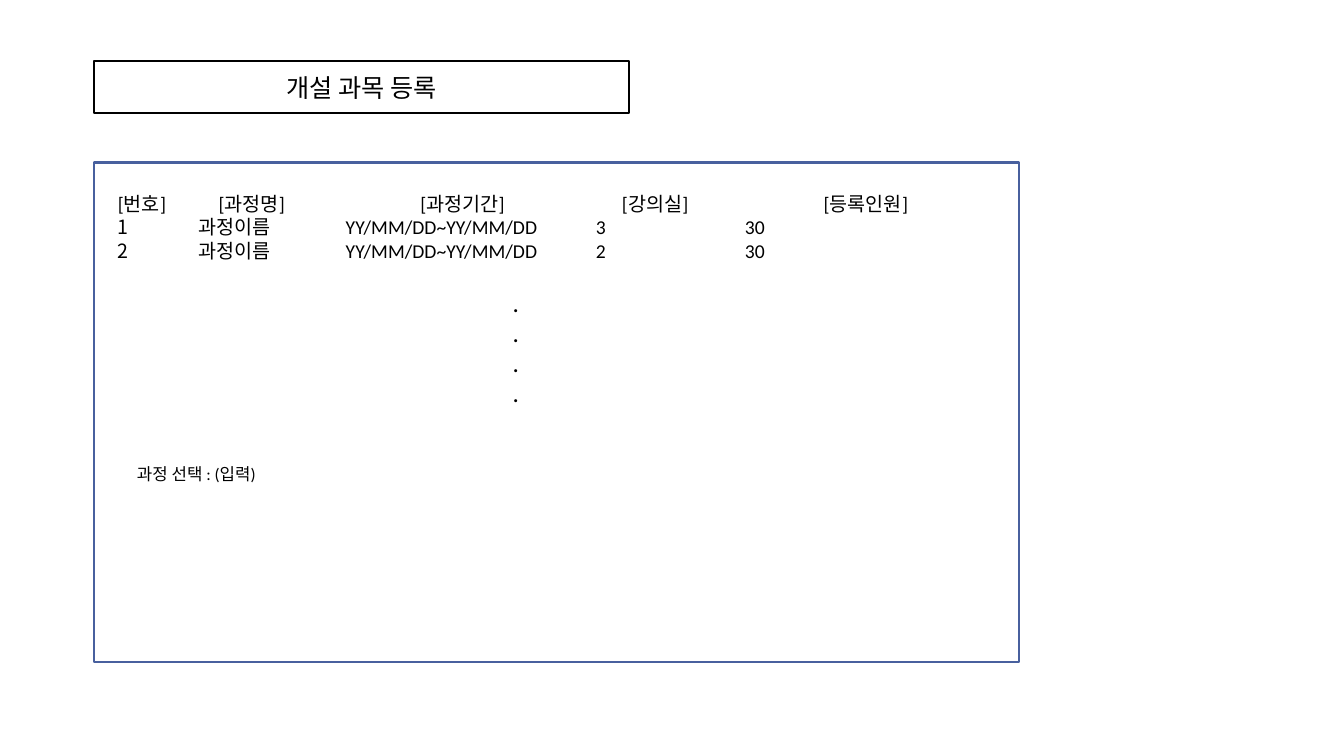
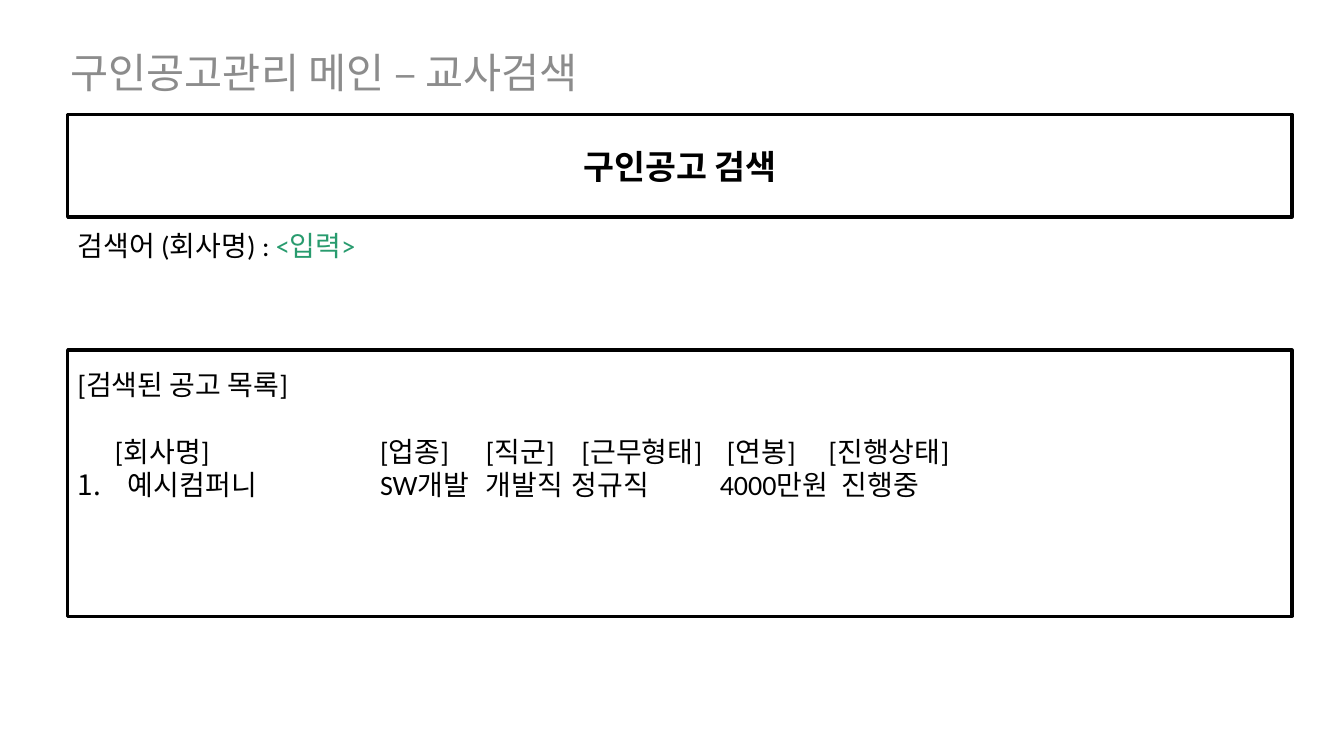
from pptx import Presentation
from pptx.dml.color import RGBColor
from pptx.enum.shapes import MSO_SHAPE as Preset
from pptx.enum.text import MSO_ANCHOR as Anchor, PP_ALIGN as Align
from pptx.oxml.ns import qn
from pptx.util import Inches, Pt
from lxml.etree import SubElement

WIDTH, HEIGHT = Inches(13.33), Inches(7.5)
FONT = "Calibri"
BLACK, WHITE, GRAY, BLUE, GREEN = "000000", "FFFFFF", "8C8C8C", "48609E", "289B6E"
LEFT = {"alignment": Align.LEFT}
CENTER = {"alignment": Align.CENTER}


def color(hex_string):
    return RGBColor.from_string(hex_string)


def set_values(target, values):
    for name, value in values.items():
        setattr(target, name, value)


def area(left, top, width, height):
    """Turn percentages of the slide size into lengths."""
    return [round(share * side / 100) for share, side in
            ((left, WIDTH), (top, HEIGHT), (width, WIDTH), (height, HEIGHT))]


def add_box(slide, place, line_color, line_width, fill=None):
    box = slide.shapes.add_shape(Preset.RECTANGLE, *area(*place))
    box.shadow.inherit = False
    if fill:
        box.fill.solid()
        box.fill.fore_color.rgb = color(fill)
    else:
        box.fill.background()
    box.line.color.rgb = color(line_color)
    box.line.width = Pt(line_width)
    set_values(box.text_frame, {"word_wrap": True, "vertical_anchor": Anchor.MIDDLE})
    return box.text_frame


def add_text_frame(slide, place):
    frame = slide.shapes.add_textbox(*area(*place)).text_frame
    frame.word_wrap = True
    return frame


def set_columns(paragraph, stops, number=None, hang=0):
    """Set tab stops in inches, and a hanging automatic number if one is named."""
    properties = paragraph._p.get_or_add_pPr()
    if number:
        properties.set("marL", str(Inches(hang)))
        properties.set("indent", str(-Inches(hang)))
        SubElement(properties, qn("a:buFont"), typeface=FONT)
        SubElement(properties, qn("a:buAutoNum"), type=number)
    tabs = SubElement(properties, qn("a:tabLst"))
    for stop in stops:
        SubElement(tabs, qn("a:tab"), pos=str(Inches(stop)), algn="l")


def add_run(paragraph, text, size, text_color=BLACK, bold=False):
    run = paragraph.add_run()
    run.text = text
    set_values(run.font, {"name": FONT, "size": Pt(size), "bold": bold})
    run.font.color.rgb = color(text_color)


def add_line(frame, text, size, text_color=BLACK, bold=False, layout=LEFT, columns=None):
    first = frame.paragraphs[0]
    paragraph = frame.add_paragraph() if first.runs else first
    if columns:
        set_columns(paragraph, **columns)
    set_values(paragraph, layout)
    add_run(paragraph, text, size, text_color, bold)
    return paragraph


def build_course_slide(slide):
    heading = add_box(slide, (7, 8.1, 39.8, 6.9), BLACK, 1.5, WHITE)
    add_line(heading, "개설 과목 등록", 18, layout=CENTER)
    add_box(slide, (7, 21.5, 68.8, 66.1), BLUE, 1.5, WHITE)

    courses = add_text_frame(slide, (8.03, 24.7, 65.6, 10.8))
    headers = ("[번호]", "[과정명]", "[과정기간]", "[강의실]", "[등록인원]")
    add_line(courses, "\t".join(headers), 14, columns={"stops": (1, 3, 5, 7)})
    row_columns = {"stops": (2.26, 4.74, 6.22), "number": "arabicPlain", "hang": 0.8}
    for room in ("3", "2"):
        cells = ("과정이름", "YY/MM/DD~YY/MM/DD", room, "30")
        add_line(courses, "\t".join(cells), 14, columns=row_columns)

    dots = add_text_frame(slide, (37.4, 37.3, 8, 21.6))
    for dot in "....":
        add_line(dots, dot, 18)
    add_line(add_text_frame(slide, (9.45, 60.7, 45.5, 4)), "과정 선택 : (입력)", 12)


def build_search_slide(slide):
    left, width = 5.03, 91.1
    title = add_text_frame(slide, (4.5, 5.6, width, 6.8))
    add_line(title, "구인공고관리 메인 – 교사검색", 29.6, GRAY)

    results = add_box(slide, (left, 46.3, width, 35.2), BLACK, 2.25)
    set_values(results, {"vertical_anchor": Anchor.TOP, "margin_top": Inches(0.17)})
    add_line(results, "[검색된 공고 목록]", 20)
    headers = ("", "[회사명]", "[업종]", "[직군]", "[근무형태]", "[연봉]", "[진행상태]")
    add_line(results, "\t".join(headers), 20, layout=LEFT | {"space_before": Pt(24)},
             columns={"stops": (0.37, 3, 4.05, 5, 6.44, 7.45)})
    cells = ("예시컴퍼니", "SW개발", "개발직", "정규직", "4000만원", "진행중")
    add_line(results, "\t".join(cells), 20,
             columns={"stops": (3, 4.05, 4.9, 6.37, 7.58),
                      "number": "arabicPeriod", "hang": 0.5})

    search = add_text_frame(slide, (left, 30.1, 88.6, 11))
    prompt = add_line(search, "검색어 (회사명) : ", 20, layout=LEFT | {"line_spacing": 0.9})
    add_run(prompt, "<입력>", 20, GREEN)

    heading = add_box(slide, (left, 15.1, width, 13.6), BLACK, 2.25)
    add_line(heading, "구인공고 검색", 24, bold=True, layout=CENTER)


def main():
    presentation = Presentation()
    set_values(presentation, {"slide_width": WIDTH, "slide_height": HEIGHT})
    for build in (build_course_slide, build_search_slide):
        build(presentation.slides.add_slide(presentation.slide_layouts[6]))
    presentation.save("out.pptx")


if __name__ == "__main__":
    main()
